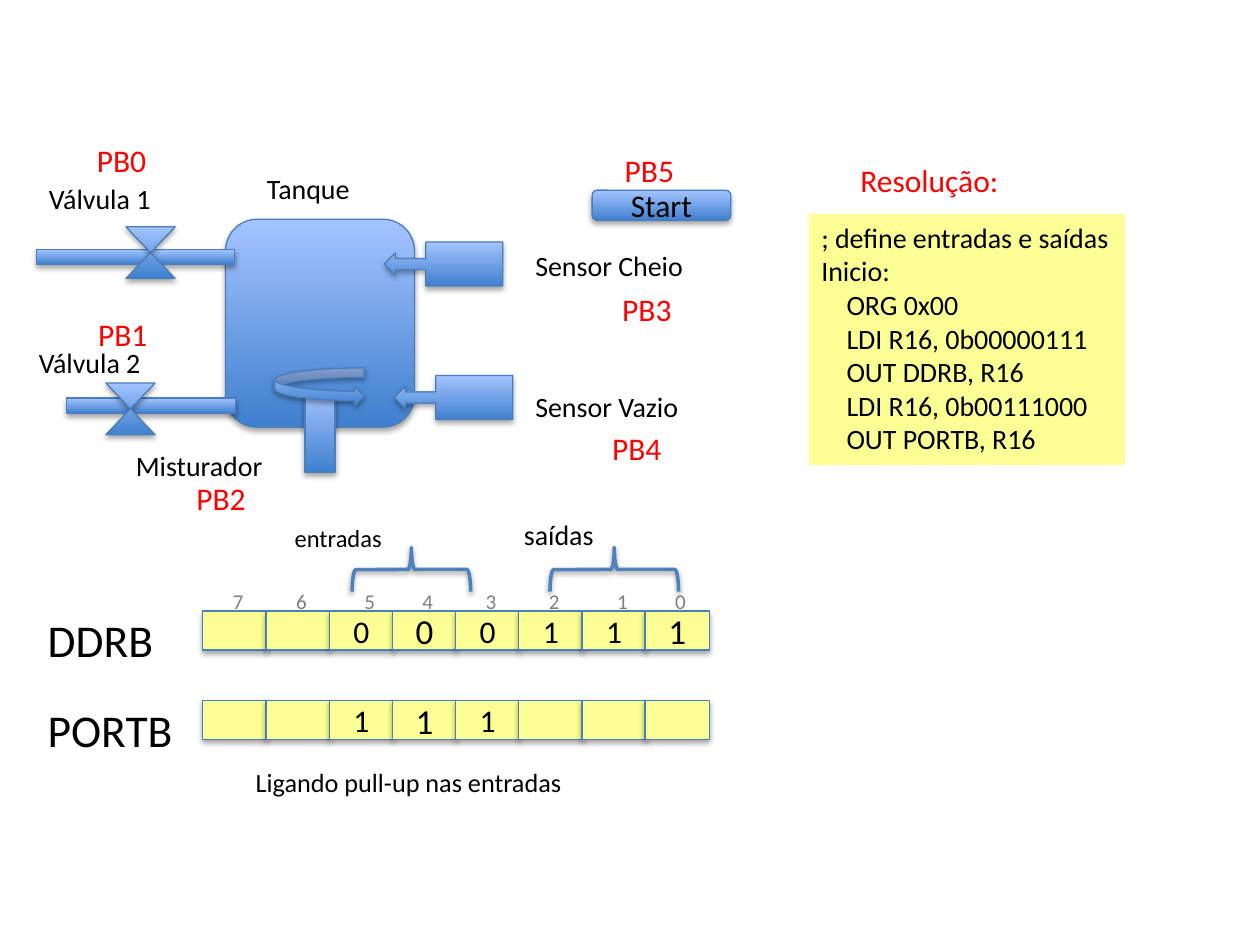
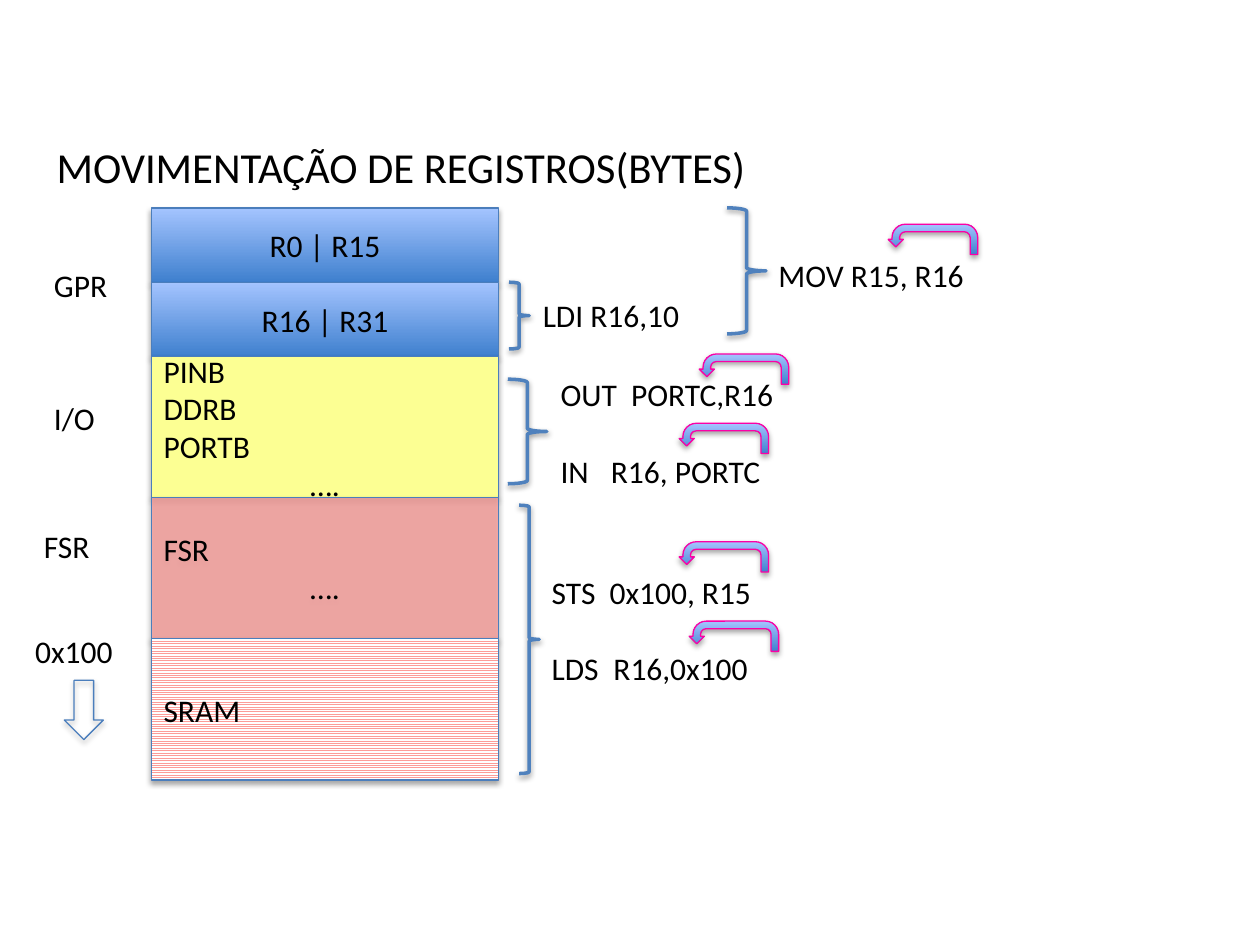
from dataclasses import dataclass

from lxml.etree import SubElement
from pptx import Presentation
from pptx.dml.color import RGBColor
from pptx.enum.dml import MSO_PATTERN
from pptx.enum.shapes import MSO_SHAPE
from pptx.enum.text import MSO_ANCHOR, PP_ALIGN
from pptx.oxml.ns import qn
from pptx.util import Inches, Pt

COLORS = {
    "text": "000000",
    "port": "FF0000",
    "bit": "7F7F7F",
    "deep": "3F80CE",
    "light": "A4C4FF",
    "edge": "4B7EBC",
    "brace": "4F81BD",
    "register": "FCFF93",
    "special": "FD9C98",
    "paper": "FFFFFF",
    "transfer": "FC00A6",
}
FONT = "Calibri"


@dataclass
class Box:
    left: float
    top: float
    width: float
    height: float

    def inner(self, left, top, width, height):
        return Box(self.left + left, self.top + top, width, height)

    def lengths(self):
        return [Inches(v) for v in (self.left, self.top, self.width, self.height)]


def color(name):
    return RGBColor.from_string(COLORS[name])


def write(frame, lines, size=18, ink="text", align=PP_ALIGN.LEFT):
    for index, line in enumerate(lines):
        paragraph = frame.paragraphs[0] if index == 0 else frame.add_paragraph()
        paragraph.alignment = align
        run = paragraph.add_run()
        run.text = line
        run.font.size = Pt(size)
        run.font.name = FONT
        run.font.color.rgb = color(ink)
    return frame.paragraphs


def add_label(slide, box, lines, size=18, ink="text", wrap=False):
    frame = slide.shapes.add_textbox(*box.lengths()).text_frame
    frame.word_wrap = wrap
    return write(frame, lines, size, ink)


def cast_shadow(shape, opacity, distance):
    shape.shadow.inherit = False
    effects = shape._element.spPr.find(qn("a:effectLst"))
    shadow = SubElement(effects, qn("a:outerShdw"), blurRad="40000",
                        dist=str(distance), dir="5400000", rotWithShape="0")
    tint = SubElement(shadow, qn("a:srgbClr"), val=COLORS["text"])
    SubElement(tint, qn("a:alpha"), val=str(opacity * 1000))


def add_part(slide, kind, box, fill="gradient", edge="edge"):
    part = slide.shapes.add_shape(kind, *box.lengths())
    if fill == "gradient":
        part.fill.gradient()
        part.fill.gradient_angle = 90
        for stop, name in zip(part.fill.gradient_stops, ("deep", "light")):
            stop.color.rgb = color(name)
    elif fill:
        part.fill.solid()
        part.fill.fore_color.rgb = color(fill)
    else:
        part.fill.background()
    part.line.color.rgb = color(edge)
    part.line.width = Pt(0.75)
    cast_shadow(part, 35, 23000)
    return part


def add_brace(slide, kind, box, rotation=0):
    brace = slide.shapes.add_shape(kind, *box.lengths())
    brace.rotation = rotation
    brace.fill.background()
    brace.line.color.rgb = color("brace")
    brace.line.width = Pt(2)
    cast_shadow(brace, 38, 20000)


def draw_valve(slide, box, pipe, collar):
    add_part(slide, MSO_SHAPE.RECTANGLE, box.inner(*pipe, box.width, 0.12))
    add_part(slide, MSO_SHAPE.FLOWCHART_COLLATE, box.inner(*collar, 0.39, 0.41))


def draw_plant(slide, box):
    add_part(slide, MSO_SHAPE.ROUNDED_RECTANGLE, box.inner(1.5, 0.67, 1.5, 1.65))
    draw_valve(slide, box.inner(0, 0.73, 1.57, 0.41), (0, 0.18), (0.71, 0))
    draw_valve(slide, box.inner(0.24, 1.97, 1.34, 0.41), (0, 0.12), (0.31, 0))
    for left, top in ((2.76, 0.85), (2.84, 1.91)):
        add_part(slide, MSO_SHAPE.LEFT_ARROW_CALLOUT, box.inner(left, top, 0.94, 0.35))
    add_part(slide, MSO_SHAPE.RECTANGLE, box.inner(2.13, 2.03, 0.24, 0.65))
    add_part(slide, MSO_SHAPE.CURVED_RIGHT_ARROW, box.inner(1.89, 1.85, 0.71, 0.3))
    start = add_part(slide, MSO_SHAPE.ROUNDED_RECTANGLE, box.inner(4.41, 0.44, 1.1, 0.24))
    write(start.text_frame, ["Start"], align=PP_ALIGN.CENTER)

    devices = (
        ("Válvula 1", 0, 0.32, 1.02),
        ("Válvula 2", -0.08, 1.62, 1.02),
        ("Sensor Cheio", 3.86, 0.85, 1.39),
        ("Sensor Vazio", 3.86, 1.97, 1.35),
        ("Misturador", 0.69, 2.44, 1.22),
        ("Tanque", 1.73, 0.24, 0.86),
    )
    for name, left, top, width in devices:
        add_label(slide, box.inner(left, top, width, 0.37), [name], 16)

    pins = ((0.38, 0), (0.39, 1.38), (1.17, 2.68), (4.55, 1.18), (4.47, 2.29), (4.57, 0.08))
    for number, (left, top) in enumerate(pins):
        add_label(slide, box.inner(left, top, 0.6, 0.4), [f"PB{number}"], ink="port")


def draw_register(slide, box, name, bits):
    add_label(slide, box.inner(0, -0.04, 1.2 if name == "PORTB" else 1.05, 0.54), [name], 26)
    cell_width = 0.51
    first = 1.33
    pitch = (box.width - first - cell_width) / 7
    lefts = [first + column * pitch for column in range(8)]
    for column, value in enumerate(bits):
        cell = add_part(slide, MSO_SHAPE.RECTANGLE,
                        box.inner(lefts[column], 0, cell_width, box.height), "register")
        if value != "-":
            size = 20 if column % 4 == 3 else 18
            write(cell.text_frame, [value], size, align=PP_ALIGN.CENTER)
    return lefts


def draw_registers(slide, box):
    row = box.inner(0, 0.79, box.width, 0.31)
    lefts = draw_register(slide, row, "DDRB", "--000111")
    draw_register(slide, row.inner(0, 0.71, box.width, 0.31), "PORTB", "--111---")
    nudges = {5: 0.04, 1: 0.04}
    for bit, left in zip(reversed(range(8)), lefts):
        spot = row.inner(left + 0.14 + nudges.get(bit, 0), -0.23, 0.29, 0.3)
        add_label(slide, spot, [str(bit)], 12, "bit")
    add_label(slide, box.inner(1.65, 1.97, 2.65, 0.35), ["Ligando pull-up nas entradas"], 15)
    add_label(slide, box.inner(1.96, 0.04, 0.9, 0.34), ["entradas"], 14)
    add_label(slide, box.inner(3.78, 0, 0.76, 0.37), ["saídas"], 16)
    for left, top, span in ((2.81, -0.01, 0.94), (4.42, -0.05, 1.02)):
        add_brace(slide, MSO_SHAPE.LEFT_BRACE, box.inner(left, top, 0.35, span), 90)


def draw_solution(slide, box):
    add_label(slide, box.inner(0.31, 0, 1.31, 0.4), ["Resolução:"], ink="port")
    code = slide.shapes.add_textbox(*box.inner(0, 0.47, box.width, 1.99).lengths())
    code.fill.solid()
    code.fill.fore_color.rgb = color("register")
    code.text_frame.word_wrap = True
    lines = write(code.text_frame, (
        "; define entradas e saídas",
        "Inicio:",
        "ORG 0x00",
        "LDI R16, 0b00000111",
        "OUT DDRB, R16",
        "LDI R16, 0b00111000",
        "OUT PORTB, R16",
    ), 16)
    for instruction in lines[2:]:
        instruction._p.get_or_add_pPr().set("marL", str(Inches(0.2)))


def draw_memory(slide, box):
    areas = (
        (0.59, "gradient", ["R0 | R15"]),
        (0.59, "gradient", ["R16 | R31"]),
        (1.12, "register", ["PINB", "DDRB", "PORTB", "…."]),
        (1.12, "special", ["FSR", "…."]),
        (1.12, "pattern", ["SRAM"]),
    )
    top = 0
    for height, fill, lines in areas:
        area = add_part(slide, MSO_SHAPE.RECTANGLE, box.inner(1.02, top, 2.76, height),
                        None if fill == "pattern" else fill)
        if fill == "special":
            tint = area._element.spPr.find(qn("a:solidFill"))[0]
            SubElement(tint, qn("a:alpha"), val="74000")
        elif fill == "pattern":
            area.fill.patterned()
            area.fill.pattern = MSO_PATTERN.LIGHT_HORIZONTAL
            area.fill.fore_color.rgb = color("special")
            area.fill.back_color.rgb = color("paper")
        for paragraph in write(area.text_frame, lines):
            if fill == "gradient" or paragraph.text == "….":
                paragraph.alignment = PP_ALIGN.CENTER
        top += height

    names = (("GPR", 0.15, 0.41, 0.63), ("I/O", 0.15, 1.47, 0.53),
             ("FSR", 0.07, 2.48, 0.57), ("0x100", 0, 3.32, 0.82))
    for name, left, top, width in names:
        add_label(slide, box.inner(left, top, width, 0.4), [name])
    growth = add_part(slide, MSO_SHAPE.RIGHT_ARROW, box.inner(0.25, 3.83, 0.47, 0.31), None)
    growth.rotation = 90


def add_instructions(slide, box, instructions):
    lines = [f"{mnemonic}\t{operands}" for mnemonic, operands, _ in instructions]
    paragraphs = add_label(slide, box, lines, wrap=True)
    for paragraph, (_, _, stop) in zip(paragraphs, instructions):
        tabs = SubElement(paragraph._p.get_or_add_pPr(), qn("a:tabLst"))
        SubElement(tabs, qn("a:tab"), pos=str(Inches(stop)), algn="l")
    paragraphs[1].space_before = Pt(22)


def draw_transfers(slide, box):
    add_label(slide, box.inner(0.18, 0.65, 1.3, 0.4), ["LDI R16,10"])
    add_label(slide, box.inner(2.05, 0.33, 2.21, 0.4), ["MOV R15, R16"], wrap=True)
    add_instructions(slide, box.inner(0.32, 1.28, 1.95, 1.01),
                     (("OUT", "PORTC,R16", 0.56), ("IN", "R16, PORTC", 0.4)))
    add_instructions(slide, box.inner(0.25, 2.85, 1.85, 1.62),
                     (("STS", "0x100, R15", 0.46), ("LDS", "R16,0x100", 0.49)))
    braces = ((1.74, 0, 0.31, 1), (0, 1.36, 0.31, 0.83),
              (0.09, 2.36, 0.16, 2.13), (0.01, 0.59, 0.16, 0.53))
    for brace in braces:
        add_brace(slide, MSO_SHAPE.RIGHT_BRACE, box.inner(*brace))
    for left, top in ((1.36, 2.65), (3.02, 0.13), (1.52, 1.16), (1.36, 1.71), (1.44, 3.28)):
        arrow = add_part(slide, MSO_SHAPE.U_TURN_ARROW, box.inner(left, top, 0.71, 0.24),
                         edge="transfer")
        arrow._element.spPr.find(qn("a:xfrm")).set("flipH", "1")


def set_title(slide, box, words):
    title = slide.shapes.title
    title.left, title.top, title.width, title.height = box.lengths()
    title.text_frame.word_wrap = True
    title.text_frame.vertical_anchor = MSO_ANCHOR.TOP
    heading = write(title.text_frame, [words], 42)[0]
    heading.runs[0].font._element.set("baseline", "30000")


def build_tank_slide(deck):
    slide = deck.slides.add_slide(deck.slide_layouts[6])
    draw_plant(slide, Box(0.29, 1.07, 5.51, 3.08))
    draw_registers(slide, Box(0.28, 4.06, 5.35, 2.32))
    draw_solution(slide, Box(6.42, 1.23, 2.51, 2.46))


def build_memory_slide(deck):
    slide = deck.slides.add_slide(deck.slide_layouts[5])
    set_title(slide, Box(0.35, 1, 6.54, 0.81), "MOVIMENTAÇÃO DE REGISTROS(BYTES)")
    draw_memory(slide, Box(0.18, 1.65, 3.78, 4.54))
    draw_transfers(slide, Box(4.03, 1.65, 4.26, 4.49))


def main():
    deck = Presentation()
    deck.slide_width = Inches(10)
    deck.slide_height = Inches(7.5)
    build_tank_slide(deck)
    build_memory_slide(deck)
    deck.save("out.pptx")


if __name__ == "__main__":
    main()
